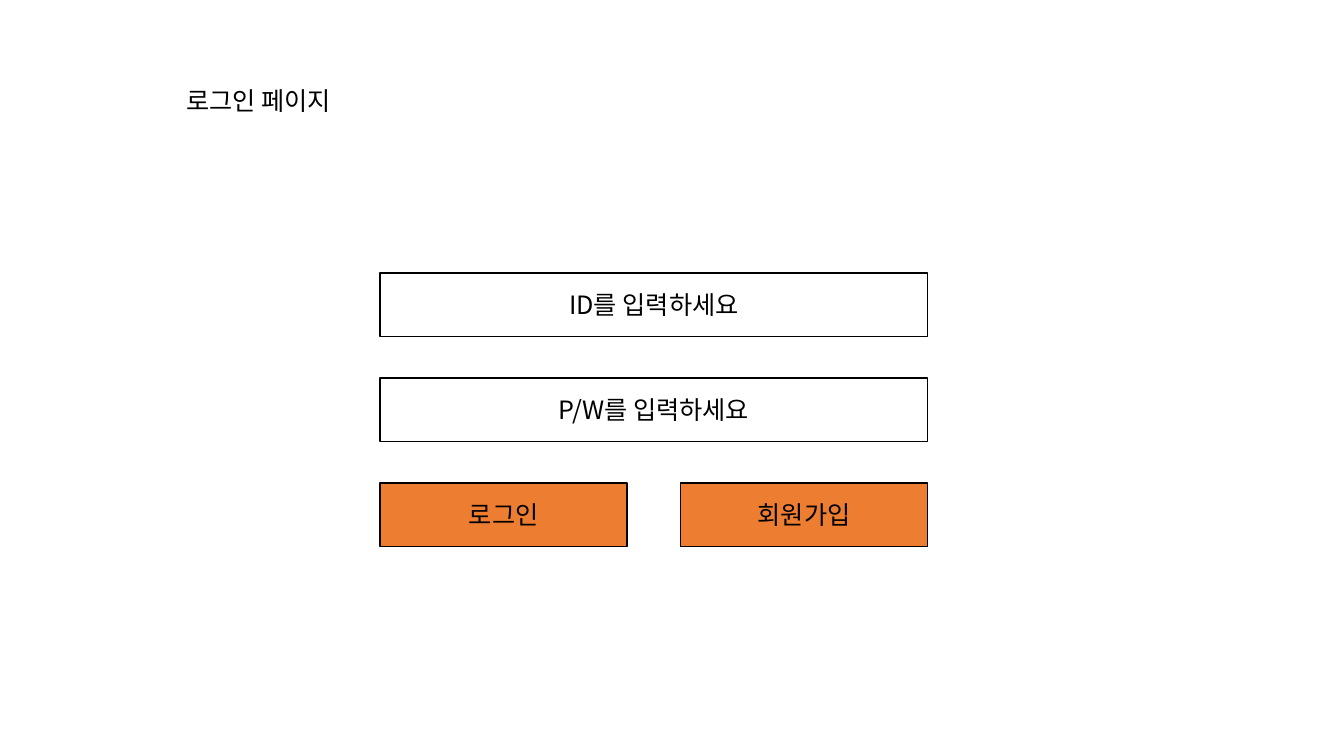
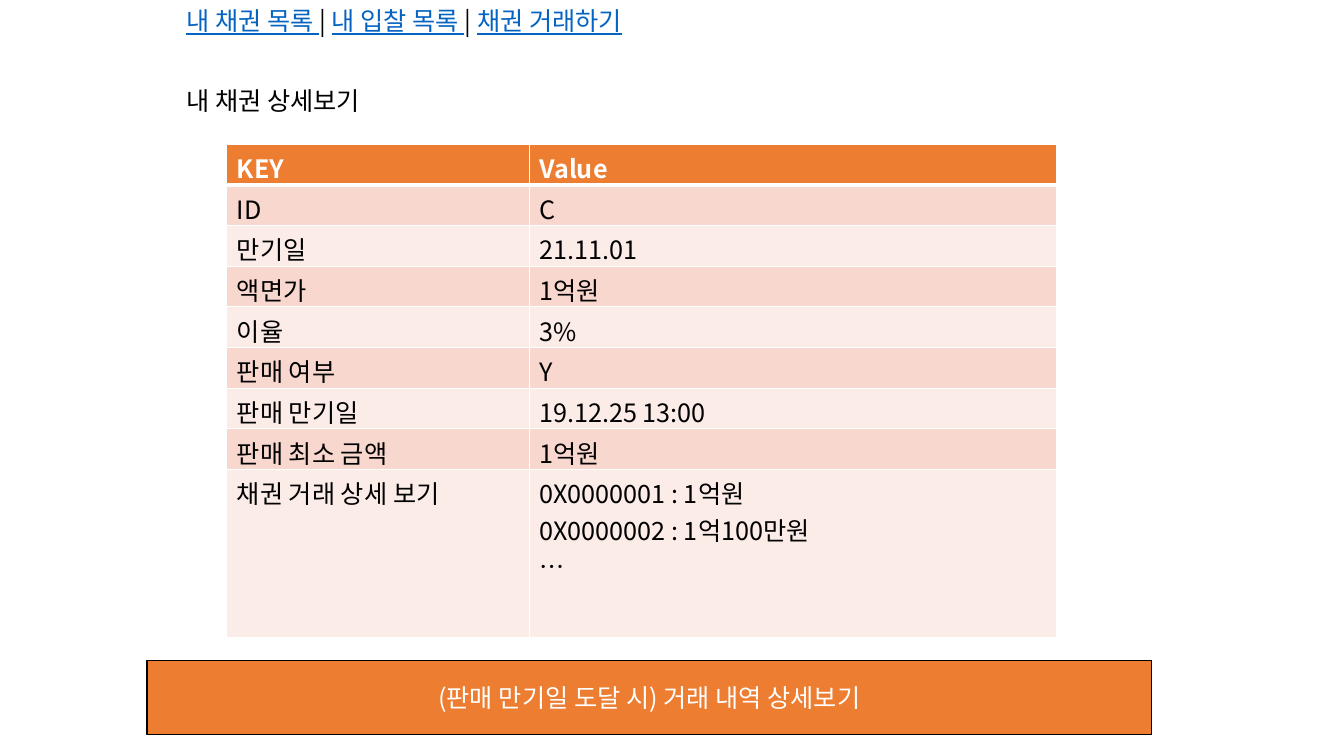
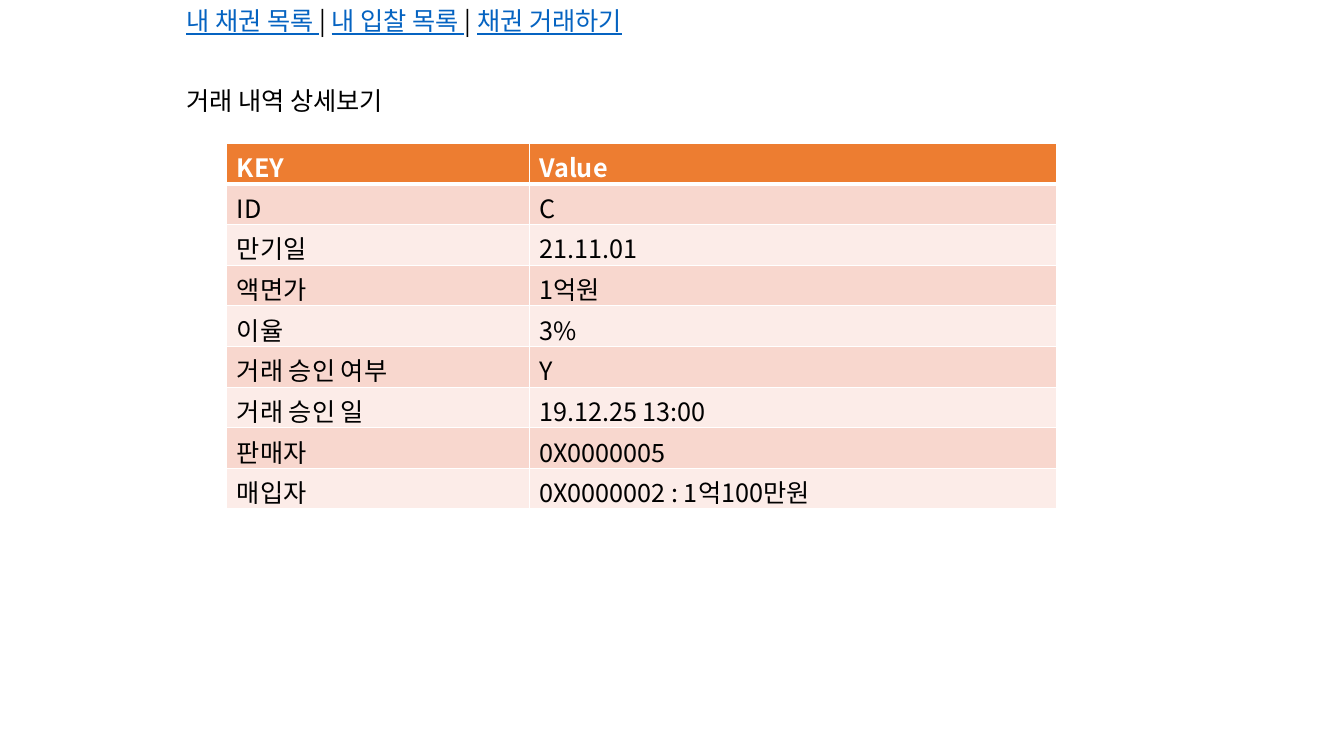
import dataclasses

import lxml.etree
import pptx
import pptx.dml.color
import pptx.enum.shapes
import pptx.enum.text
import pptx.oxml.ns
import pptx.util

Inches = pptx.util.Inches
Pt = pptx.util.Pt
RGBColor = pptx.dml.color.RGBColor
qn = pptx.oxml.ns.qn


@dataclasses.dataclass(frozen=True)
class Theme:
    font: str = "Noto Sans CJK KR"
    size: int = 18
    line: int = 1
    header_line: int = 3
    text: str = "000000"
    white: str = "FFFFFF"
    link: str = "0563C1"
    accent: str = "ED7D31"
    bands: tuple = ("F8D7CE", "FCECE8")


theme = Theme()


def add_run(paragraph, text, color=theme.text, bold=False, underline=False):
    run = paragraph.add_run()
    run.text = text
    run.font.name = theme.font
    run.font.size = Pt(theme.size)
    run.font.bold = bold
    run.font.underline = underline
    run.font.color.rgb = RGBColor.from_string(color)
    east_asian = lxml.etree.Element(qn("a:ea"), typeface=theme.font)
    run.font._element.find(qn("a:latin")).addnext(east_asian)


def add_box(slide, left, top, width, height, text, fill=None, color=theme.text):
    shape = slide.shapes.add_shape(
        pptx.enum.shapes.MSO_SHAPE.RECTANGLE,
        Inches(left), Inches(top), Inches(width), Inches(height))
    shape.shadow.inherit = False
    if fill:
        shape.fill.solid()
        shape.fill.fore_color.rgb = RGBColor.from_string(fill)
    else:
        shape.fill.background()
    shape.line.color.rgb = RGBColor.from_string(theme.text)
    shape.line.width = Pt(theme.line)
    shape.text_frame.vertical_anchor = pptx.enum.text.MSO_ANCHOR.MIDDLE
    paragraph = shape.text_frame.paragraphs[0]
    paragraph.alignment = pptx.enum.text.PP_ALIGN.CENTER
    add_run(paragraph, text, color)


presentation = pptx.Presentation()
presentation.slide_width = Inches(13.33)
presentation.slide_height = Inches(7.5)

navigation = [
    ("내 채권 목록 ", theme.link, False, True),
    ("| ", theme.text),
    ("내 입찰 목록 ", theme.link, False, True),
    ("| ", theme.text),
    ("채권 거래하기", theme.link, False, True),
]
pages = [
    ("로그인 페이지", 1.81, False),
    ("내 채권 상세보기", 2.15, True),
    ("거래 내역 상세보기", 2.4, True),
]
slides = []
for title, title_width, has_navigation in pages:
    slide = presentation.slides.add_slide(presentation.slide_layouts[6])
    slides.append(slide)
    lines = [(0.8, title_width, [(title,)])]
    if has_navigation:
        lines.append((0, 5.16, navigation))
    for top, width, runs in lines:
        text_box = slide.shapes.add_textbox(
            Inches(1.75), Inches(top), Inches(width), Inches(0.4))
        text_box.text_frame.word_wrap = False
        text_box.text_frame.auto_size = pptx.enum.text.MSO_AUTO_SIZE.SHAPE_TO_FIT_TEXT
        for run in runs:
            add_run(text_box.text_frame.paragraphs[0], *run)

login_slide, bond_slide, trade_slide = slides

form_left, form_top, form_width, field_height, row_step = 3.77, 2.71, 5.43, 0.63, 1.04
button_width = 2.45
for index, prompt in enumerate(["ID를 입력하세요", "P/W를 입력하세요"]):
    add_box(login_slide, form_left, form_top + index * row_step,
            form_width, field_height, prompt)
for index, label in enumerate(["로그인", "회원가입"]):
    add_box(login_slide, form_left + index * (form_width - button_width),
            form_top + 2 * row_step, button_width, field_height, label, theme.accent)

common_rows = [
    ("KEY", "Value"),
    ("ID", "C"),
    ("만기일", "21.11.01"),
    ("액면가", "1억원"),
    ("이율", "3%"),
]
bond_rows = common_rows + [
    ("판매 여부", "Y"),
    ("판매 만기일", "19.12.25 13:00"),
    ("판매 최소 금액", "1억원"),
    ("채권 거래 상세 보기", "0X0000001 : 1억원\n0X0000002 : 1억100만원\n…"),
]
trade_rows = common_rows + [
    ("거래 승인 여부", "Y"),
    ("거래 승인 일", "19.12.25 13:00"),
    ("판매자", "0X0000005"),
    ("매입자", "0X0000002 : 1억100만원"),
]
detail_tables = [
    (bond_slide, bond_rows, 1.43, 4.9, 1.67),
    (trade_slide, trade_rows, 1.42, 3.63, 0.4),
]
column_widths = (3, 5.23)

for slide, rows, top, height, last_height in detail_tables:
    table = slide.shapes.add_table(
        len(rows), len(column_widths), Inches(2.25), Inches(top),
        Inches(sum(column_widths)), Inches(height)).table
    table.first_row = False
    table.horz_banding = False
    for column, width in zip(table.columns, column_widths):
        column.width = Inches(width)
    for row in table.rows:
        row.height = Inches((height - last_height) / (len(rows) - 1))
    table.rows[len(rows) - 1].height = Inches(last_height)

    for row_index, values in enumerate(rows):
        is_header = row_index == 0
        fill = theme.accent if is_header else theme.bands[(row_index - 1) % 2]
        color = theme.white if is_header else theme.text
        borders = {
            "a:lnL": theme.line,
            "a:lnR": theme.line,
            "a:lnT": theme.header_line if row_index == 1 else theme.line,
            "a:lnB": theme.header_line if is_header else theme.line,
        }
        for column_index, value in enumerate(values):
            cell = table.cell(row_index, column_index)
            properties = cell._tc.get_or_add_tcPr()
            for tag, weight in borders.items():
                border = lxml.etree.SubElement(properties, qn(tag), w=str(Pt(weight)))
                border_fill = lxml.etree.SubElement(border, qn("a:solidFill"))
                lxml.etree.SubElement(border_fill, qn("a:srgbClr"), val=theme.white)
            cell.fill.solid()
            cell.fill.fore_color.rgb = RGBColor.from_string(fill)
            for line_index, line in enumerate(value.split("\n")):
                if line_index:
                    paragraph = cell.text_frame.add_paragraph()
                else:
                    paragraph = cell.text_frame.paragraphs[0]
                add_run(paragraph, line, color, bold=is_header)

add_box(bond_slide, 1.46, 6.55, 9.96, 0.74,
        "(판매 만기일 도달 시) 거래 내역 상세보기", theme.accent, theme.white)

presentation.save("out.pptx")
